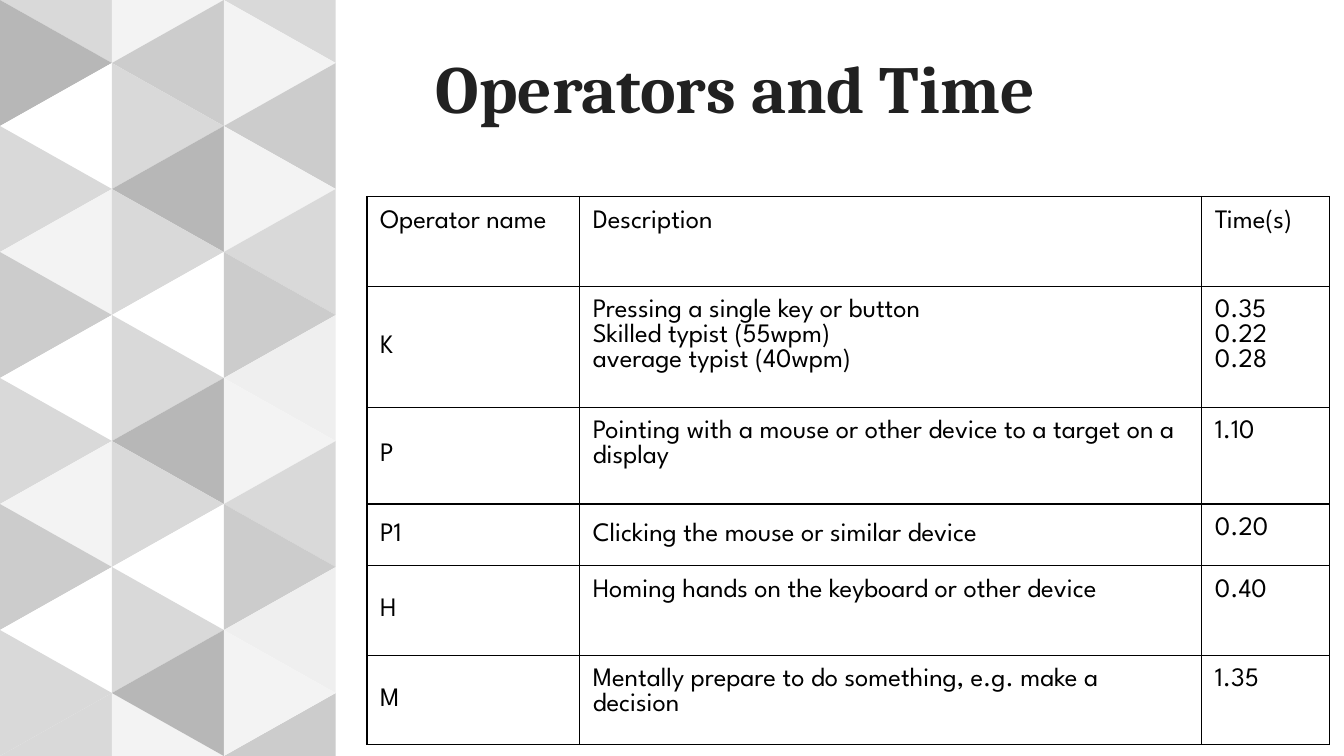
from lxml import etree
from pptx import Presentation
from pptx.dml.color import RGBColor
from pptx.enum.shapes import MSO_SHAPE
from pptx.enum.text import MSO_ANCHOR, MSO_AUTO_SIZE, PP_ALIGN
from pptx.oxml.ns import qn
from pptx.util import Inches, Pt

TRIANGLE = MSO_SHAPE.ISOSCELES_TRIANGLE
CORNER = MSO_SHAPE.RIGHT_TRIANGLE
TOP, MIDDLE, BOTTOM = MSO_ANCHOR.TOP, MSO_ANCHOR.MIDDLE, MSO_ANCHOR.BOTTOM

COLORS = {
    "white": "FFFFFF", "faint": "F3F3F3", "pale": "EFEFEF", "light": "D9D9D9",
    "medium": "CCCCCC", "dark": "B7B7B7", "title": "212121", "text": "000000",
}
INSET = Inches(0.13)
COLUMN_WIDTH = 1.11
HALF_HEIGHT = 0.625


def add_triangle(kind, left, top, height, rotation, color):
    """Place a triangle by the box it covers after rotation."""
    width = COLUMN_WIDTH
    center_x, center_y = left + width / 2, top + height / 2
    if rotation in (90, 270):
        width, height = height, width
    shape = slide.shapes.add_shape(
        kind, Inches(center_x - width / 2), Inches(center_y - height / 2),
        Inches(width), Inches(height))
    shape.rotation = rotation
    shape.shadow.inherit = False
    shape.fill.solid()
    shape.fill.fore_color.rgb = RGBColor.from_string(COLORS[color])
    shape.line.fill.background()


def add_text(paragraph, text, font_name, size, color, bold=False):
    run = paragraph.add_run()
    run.text = text
    run.font.name = font_name
    run.font.size = Pt(size)
    run.font.bold = bold
    run.font.color.rgb = RGBColor.from_string(COLORS[color])


presentation = Presentation()
presentation.slide_width = Inches(13.33)
presentation.slide_height = Inches(7.5)
slide = presentation.slides.add_slide(presentation.slide_layouts[5])

# Triangle pattern: top corner, eleven alternating triangles, bottom corner
pattern = [
    ("light", "dark white light faint medium white light faint medium white light", "light"),
    ("faint", "medium light dark light white light dark light white light dark", "faint"),
    ("light", "faint medium faint light medium pale faint light medium pale faint", "medium"),
]
for column, (top_color, triangle_colors, bottom_color) in enumerate(pattern):
    left = column * COLUMN_WIDTH
    top_rotation, bottom_rotation = (90, 0) if column == 1 else (180, 270)
    add_triangle(CORNER, left, 0, HALF_HEIGHT, top_rotation, top_color)
    add_triangle(CORNER, left, 7.5 - HALF_HEIGHT, HALF_HEIGHT, bottom_rotation, bottom_color)
    for step, color in enumerate(triangle_colors.split()):
        rotation = 90 if (column + step) % 2 == 0 else 270
        add_triangle(TRIANGLE, left, step * HALF_HEIGHT, 2 * HALF_HEIGHT, rotation, color)

# Title
title = slide.shapes.title
title.left, title.top = Inches(4.19), Inches(0.27)
title.width, title.height = Inches(8.37), Inches(1.12)
frame = title.text_frame
frame.auto_size = MSO_AUTO_SIZE.NONE
frame.word_wrap = True
frame.vertical_anchor = BOTTOM
frame.margin_left = frame.margin_right = frame.margin_top = frame.margin_bottom = INSET
frame.paragraphs[0].alignment = PP_ALIGN.LEFT
add_text(frame.paragraphs[0], "Operators and Time", "Cambria", 48, "title", bold=True)

# Operator table: one list of paragraphs per cell
rows = [
    (0.89, ["Operator name"], ["Description"], ["Time(s)"]),
    (1.2, ["K"],
     ["Pressing a single key or button", "Skilled typist (55wpm)", "average typist (40wpm)"],
     ["0.35", "0.22", "0.28"]),
    (0.96, ["P"], ["Pointing with a mouse or other device to a target on a display"], ["1.10"]),
    (0.61, ["P1"], ["Clicking the mouse or similar device"], ["0.20"]),
    (0.89, ["H"], ["Homing hands on the keyboard or other device"], ["0.40"]),
    (0.89, ["M"], ["Mentally prepare to do something, e.g. make a decision"], ["1.35"]),
]
table = slide.shapes.add_table(
    len(rows), 3, Inches(3.64), Inches(1.95), Inches(9.55), Inches(5.44)).table
table.first_row = False
table.horz_banding = False
for column, width in zip(table.columns, (2.11, 6.17, 1.27)):
    column.width = Inches(width)

for row_index, (height, *cell_texts) in enumerate(rows):
    table.rows[row_index].height = Inches(height)
    for column_index, lines in enumerate(cell_texts):
        cell = table.cell(row_index, column_index)
        cell.margin_left = cell.margin_right = cell.margin_top = cell.margin_bottom = INSET
        centered = (column_index == 0 and row_index > 0) or (row_index, column_index) == (3, 1)
        cell.vertical_anchor = MIDDLE if centered else TOP
        cell.fill.solid()
        cell.fill.fore_color.rgb = RGBColor.from_string(COLORS["white"])
        frame = cell.text_frame
        for line_index, line in enumerate(lines):
            paragraph = frame.add_paragraph() if line_index else frame.paragraphs[0]
            add_text(paragraph, line, "League Spartan", 19, "text")
        properties = cell._tc.get_or_add_tcPr()
        for position, side in enumerate(("a:lnL", "a:lnR", "a:lnT", "a:lnB")):
            border = etree.Element(qn(side), w=str(Pt(1)))
            fill = etree.SubElement(border, qn("a:solidFill"))
            etree.SubElement(fill, qn("a:srgbClr"), val=COLORS["text"])
            properties.insert(position, border)

presentation.save("out.pptx")
